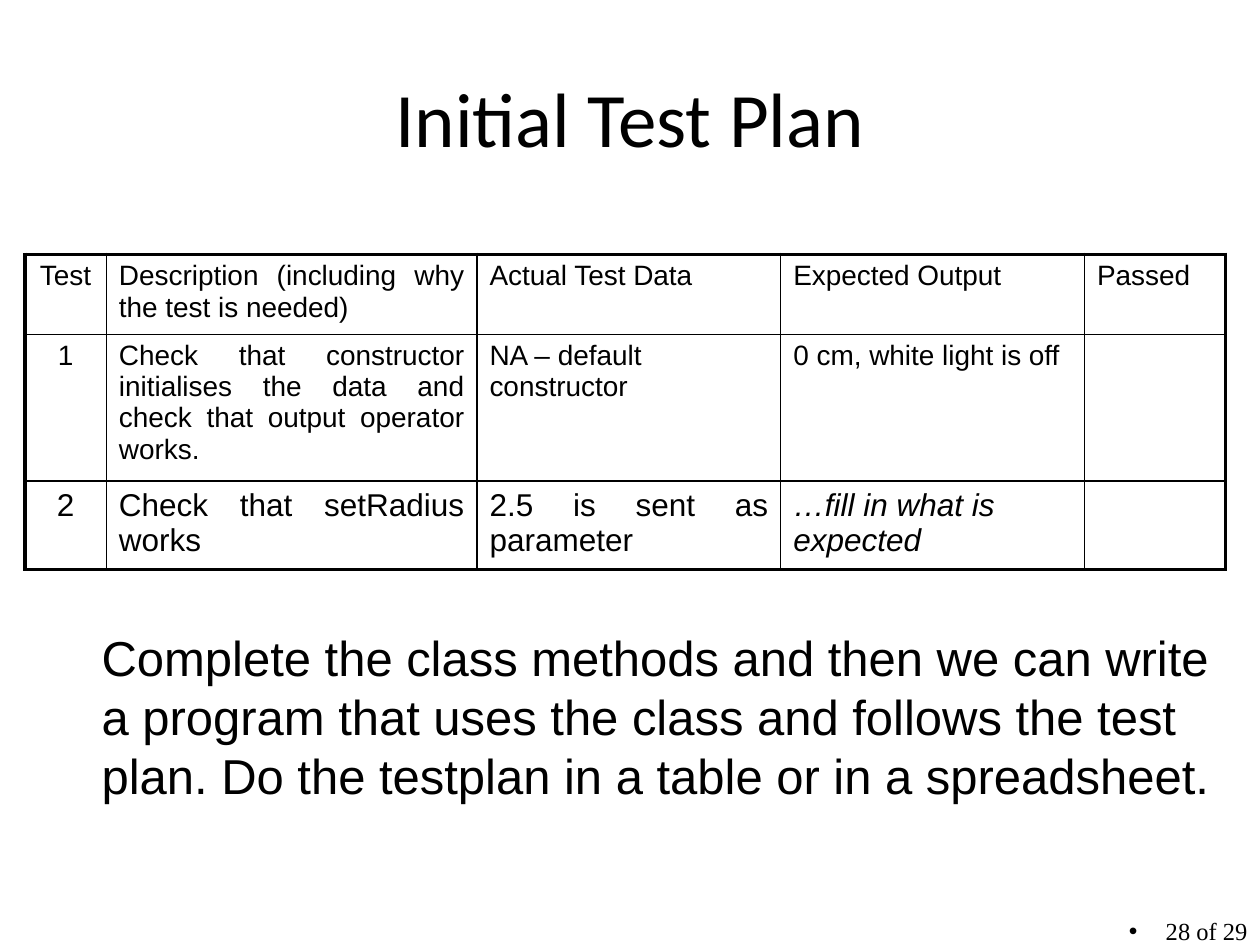
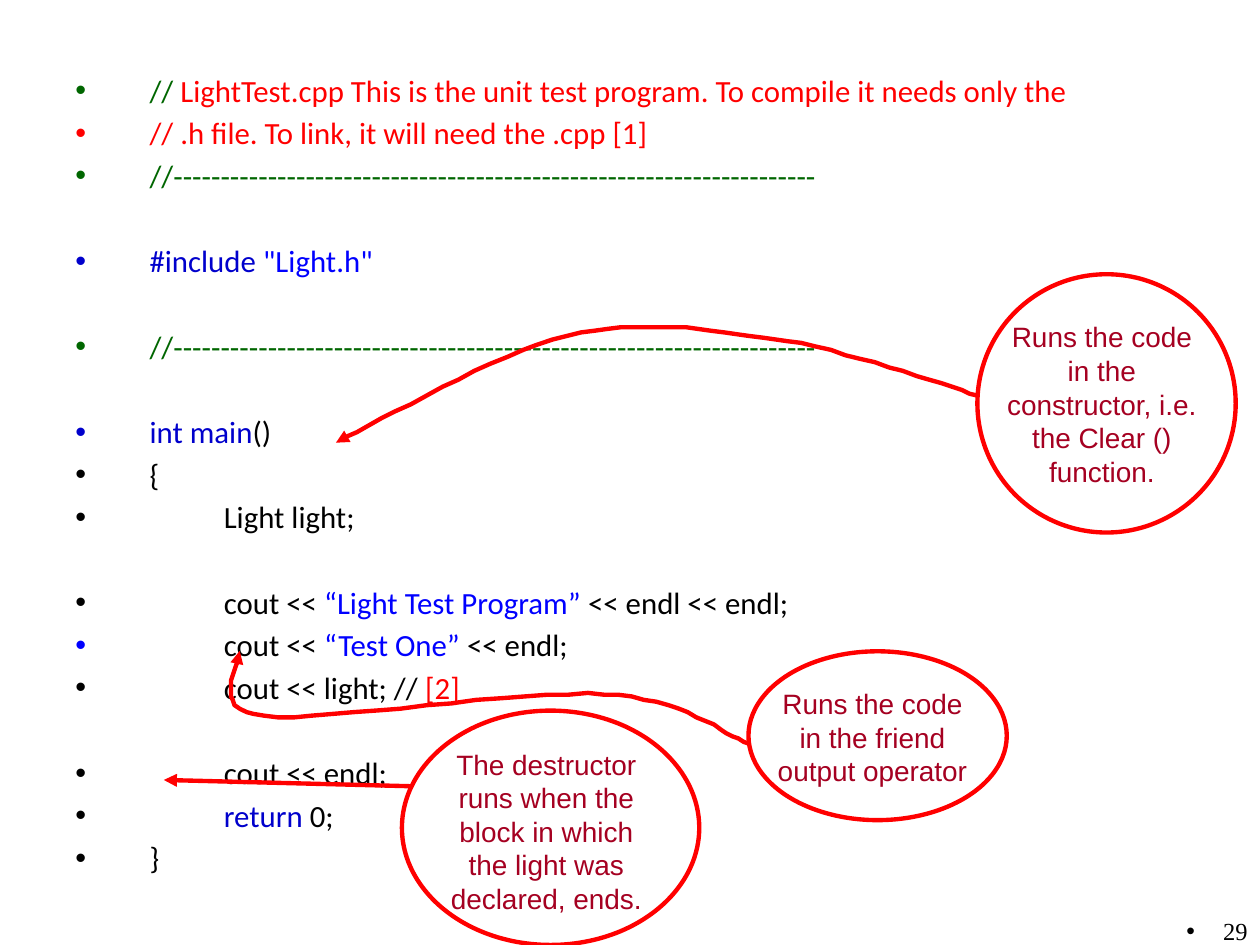
"""Build two lecture slides: a class test plan and an annotated unit test program."""
import pptx
import pptx.dml.color
import pptx.enum.shapes
import pptx.enum.text
import pptx.oxml
import pptx.oxml.ns
import pptx.util

Pt = pptx.util.Pt
Align = pptx.enum.text.PP_ALIGN
Anchor = pptx.enum.text.MSO_ANCHOR

COLORS = {
    "black": "000000", "white": "FFFFFF", "red": "FF0000", "maroon": "A50021",
    "green": "006600", "navy": "0000CC", "blue": "0000FF",
}
SLIDE_SIZE = (720, 540)
FOOTER_TOP, FOOTER_HEIGHT, FOOTER_INDENT = 519.8, 20.2, 21

TITLE = "Initial Test Plan"
TASK = ("Complete the class methods and then we can write a program that uses the class "
        "and follows the test plan. Do the testplan in a table or in a spreadsheet.")
TABLE_LEFT, TABLE_TOP = 14.2, 145.4
COLUMN_WIDTHS = (46.6, 211.8, 173.6, 173.6, 80.6)
ROW_HEIGHTS = (45.6, 84, 50.4)
ROW_TEXT_SIZES = (16, 16, 18)
TEST_PLAN = [
    ["Test", "Description (including why the test is needed)", "Actual Test Data",
     "Expected Output", "Passed"],
    ["1", "Check that constructor initialises the data and check that output operator works.",
     "NA – default constructor", "0 cm, white light is off", ""],
    ["2", "Check that setRadius works", "2.5 is sent as parameter",
     "…fill in what is expected", ""],
]
LEFT_ALIGNED_CELLS = {(1, 2), (2, 3)}
ITALIC_CELLS = {(2, 3)}
THIN, THICK = 1, 2.25

RULE = "//" + "-" * 68
CODE_SIZE, CODE_INDENT, CODE_SPACING, CODE_PITCH = 17.6, 42.4, 3.15, 24.6
CODE_BLOCKS = [
    [
        (1, "green", [("// ", "green"), ("LightTest.cpp This is the unit test program. "
                                         "To compile it needs only the", "red")]),
        (1, "red", [("// .h file. To link, it will need the .cpp [1]", "red")]),
        (1, "green", [(RULE, "green")]),
    ],
    [(1, "navy", [("#include ", "navy"), ('"Light.h"', "blue")])],
    [(1, "green", [(RULE, "green")])],
    [
        (1, "navy", [("int main", "navy"), ("()", "black")]),
        (1, "black", [("{", "black")]),
        (2, "black", [("Light light;", "black")]),
    ],
    [
        (2, "black", [("cout << ", "black"), ("“Light Test Program” ", "blue"),
                      ("<< endl << endl;", "black")]),
        (2, "blue", [("cout << ", "black"), ("“Test One” ", "blue"), ("<< endl;", "black")]),
        (2, "black", [("cout << light; // ", "black"), ("[2]", "red")]),
    ],
    [
        (2, "black", [("cout << endl;", "black")]),
        (2, "black", [("return", "navy"), (" 0;", "black")]),
        (1, "black", [("}", "black")]),
    ],
]
CALLOUT_TEXT_WIDTH = 130.3
CALLOUTS = [
    {"text": "Runs the code in the constructor, i.e. the Clear () function.",
     "ellipse": (558.5, 156.7, 147.6, 147.6), "fill": "white", "text_at": (564.5, 179.3, 103.7),
     "arrow": [(558.5, 226.1), (539.3, 220.3), (481.7, 199.4), (442.8, 193.7),
               (403.9, 187.9), (365.8, 182.2), (324, 191.5),
               (282.2, 201.6), (219.6, 240.5), (191.5, 252.7)]},
    {"text": "Runs the code in the friend output operator",
     "ellipse": (427.7, 372.2, 147.6, 96.5), "fill": None, "text_at": (433.4, 388.8, 64.8),
     "arrow": [(427.7, 424.8), (414, 419.8), (391, 398.9), (344.9, 396.7),
               (298.8, 393.8), (185.8, 413.3), (151.2, 409),
               (115.9, 405.4), (139.7, 379.4), (136.8, 372.2)]},
    {"text": "The destructor runs when the block in which the light was declared, ends.",
     "ellipse": (229.7, 406.1, 169.9, 133.9), "fill": None, "text_at": (247, 423.4, 103.7),
     "arrow": [(235.4, 449.3), (93.6, 445.7)]},
]


def rgb(name):
    return pptx.dml.color.RGBColor.from_string(COLORS[name])


def add_xml(parent, tag, **attributes):
    """Append a drawing element with the given attributes."""
    element = pptx.oxml.parse_xml(f"<a:{tag} {pptx.oxml.ns.nsdecls('a')}/>")
    for name, value in attributes.items():
        element.set(name, str(value))
    parent.append(element)
    return element


def write_text(frame, text, *, font="Arial", size=16, color="black", align=Align.LEFT,
               italic=False, first=True, before=0, after=0, bullet=None, indent=0, hanging=0):
    """Write one paragraph; text is a string or a list of (text, color) runs."""
    paragraph = frame.paragraphs[0] if first else frame.add_paragraph()
    paragraph.alignment = align
    paragraph.space_before, paragraph.space_after = Pt(before), Pt(after)
    for content, run_color in [(text, color)] if isinstance(text, str) else text:
        run = paragraph.add_run()
        run.text = content
        run.font.name, run.font.size, run.font.italic = font, Pt(size), italic
        run.font.color.rgb = rgb(run_color)
    if bullet:
        properties = paragraph._p.get_or_add_pPr()
        properties.set("marL", str(Pt(indent)))
        properties.set("indent", str(-Pt(hanging)))
        add_xml(add_xml(properties, "buClr"), "srgbClr", val=COLORS[bullet])
        add_xml(properties, "buFont", typeface="Arial")
        add_xml(properties, "buChar", char="•")


def add_frame(slide, left, top, width, height, anchor=Anchor.TOP):
    box = slide.shapes.add_textbox(Pt(left), Pt(top), Pt(width), Pt(height))
    box.text_frame.word_wrap = True
    box.text_frame.vertical_anchor = anchor
    return box.text_frame


def add_footer(slide, text, width):
    frame = add_frame(slide, SLIDE_SIZE[0] - width, FOOTER_TOP, width, FOOTER_HEIGHT)
    write_text(frame, text, font="Times New Roman", size=14, align=Align.RIGHT,
               bullet="black", indent=FOOTER_INDENT, hanging=FOOTER_INDENT)


def set_borders(cell, widths):
    properties = cell._tc.get_or_add_tcPr()
    for side, width in widths.items():
        line = add_xml(properties, "ln" + side, w=Pt(width))
        add_xml(add_xml(line, "solidFill"), "srgbClr", val=COLORS["black"])
    cell.fill.background()


def add_test_table(slide):
    last_row, last_column = len(ROW_HEIGHTS) - 1, len(COLUMN_WIDTHS) - 1
    table = slide.shapes.add_table(
        len(ROW_HEIGHTS), len(COLUMN_WIDTHS), Pt(TABLE_LEFT), Pt(TABLE_TOP),
        Pt(sum(COLUMN_WIDTHS)), Pt(sum(ROW_HEIGHTS))).table
    table.first_row = table.horz_banding = False
    for column, width in zip(table.columns, COLUMN_WIDTHS):
        column.width = Pt(width)
    for row, height in zip(table.rows, ROW_HEIGHTS):
        row.height = Pt(height)
    for row, texts in enumerate(TEST_PLAN):
        for column, text in enumerate(texts):
            cell = table.cell(row, column)
            set_borders(cell, {
                "L": THICK if column == 0 else THIN,
                "R": THICK if column == last_column else THIN,
                "T": THICK if row == 0 else THIN,
                "B": THICK if row == last_row else THIN,
            })
            if not text:
                continue
            align = Align.CENTER if column == 0 else Align.JUSTIFY
            if (row, column) in LEFT_ALIGNED_CELLS:
                align = Align.LEFT
            write_text(cell.text_frame, text, size=ROW_TEXT_SIZES[row], align=align,
                       italic=(row, column) in ITALIC_CELLS, after=1.7)


def curve_points(controls, steps=16):
    """Sample a chain of cubic curves, each sharing its end with the next."""
    points = [controls[0]]
    for start in range(0, len(controls) - 1, 3):
        segment = controls[start:start + 4]
        for step in range(1, steps + 1):
            t = step / steps
            weights = ((1 - t) ** 3, 3 * t * (1 - t) ** 2, 3 * t * t * (1 - t), t ** 3)
            points.append(tuple(sum(weight * point[axis] for weight, point in zip(weights, segment))
                                for axis in (0, 1)))
    return points


def style_line(shape):
    shape.line.color.rgb = rgb("red")
    shape.line.width = Pt(2.5)


def add_arrow(slide, controls):
    if len(controls) == 2:
        (x1, y1), (x2, y2) = controls
        arrow = slide.shapes.add_connector(pptx.enum.shapes.MSO_CONNECTOR.STRAIGHT,
                                           Pt(x1), Pt(y1), Pt(x2), Pt(y2))
        style_line(arrow)
        add_xml(arrow._element.spPr, "effectLst")
    else:
        points = curve_points(controls)
        builder = slide.shapes.build_freeform(*points[0], scale=Pt(1))
        builder.add_line_segments(points[1:], close=False)
        arrow = builder.convert_to_shape()
        arrow.fill.background()
        arrow.shadow.inherit = False
        style_line(arrow)
    add_xml(arrow.line._get_or_add_ln(), "tailEnd", type="triangle")


def add_callout(slide, callout):
    ellipse = slide.shapes.add_shape(pptx.enum.shapes.MSO_SHAPE.OVAL,
                                     *(Pt(length) for length in callout["ellipse"]))
    ellipse.shadow.inherit = False
    style_line(ellipse)
    if callout["fill"]:
        ellipse.fill.solid()
        ellipse.fill.fore_color.rgb = rgb(callout["fill"])
    else:
        ellipse.fill.background()
    left, top, height = callout["text_at"]
    frame = add_frame(slide, left, top, CALLOUT_TEXT_WIDTH, height)
    write_text(frame, callout["text"], color="maroon", align=Align.CENTER)
    add_arrow(slide, callout["arrow"])


def add_code(slide):
    frame = add_frame(slide, 36, 37.4, 648, 445)
    for block_number, block in enumerate(CODE_BLOCKS):
        for line_number, (level, bullet, runs) in enumerate(block):
            first = block_number == line_number == 0
            gap = CODE_PITCH if line_number == 0 else 0
            write_text(frame, runs, font="Calibri", size=CODE_SIZE, first=first,
                       before=0 if first else CODE_SPACING + gap, bullet=bullet,
                       indent=level * CODE_INDENT, hanging=level * CODE_INDENT)


def build_plan_slide(slide):
    write_text(add_frame(slide, 36, 21.6, 648, 90, Anchor.MIDDLE), TITLE,
               font="Calibri", size=44, align=Align.CENTER)
    add_footer(slide, "28 of 29", 82)
    add_test_table(slide)
    write_text(add_frame(slide, 51, 355, 669, 109), TASK, size=28)


def build_program_slide(slide):
    add_code(slide)
    add_footer(slide, "29", 63.4)
    for callout in CALLOUTS:
        add_callout(slide, callout)


def main():
    presentation = pptx.Presentation()
    presentation.slide_width, presentation.slide_height = map(Pt, SLIDE_SIZE)
    for build in (build_plan_slide, build_program_slide):
        build(presentation.slides.add_slide(presentation.slide_layouts[6]))
    presentation.save("out.pptx")


if __name__ == "__main__":
    main()
